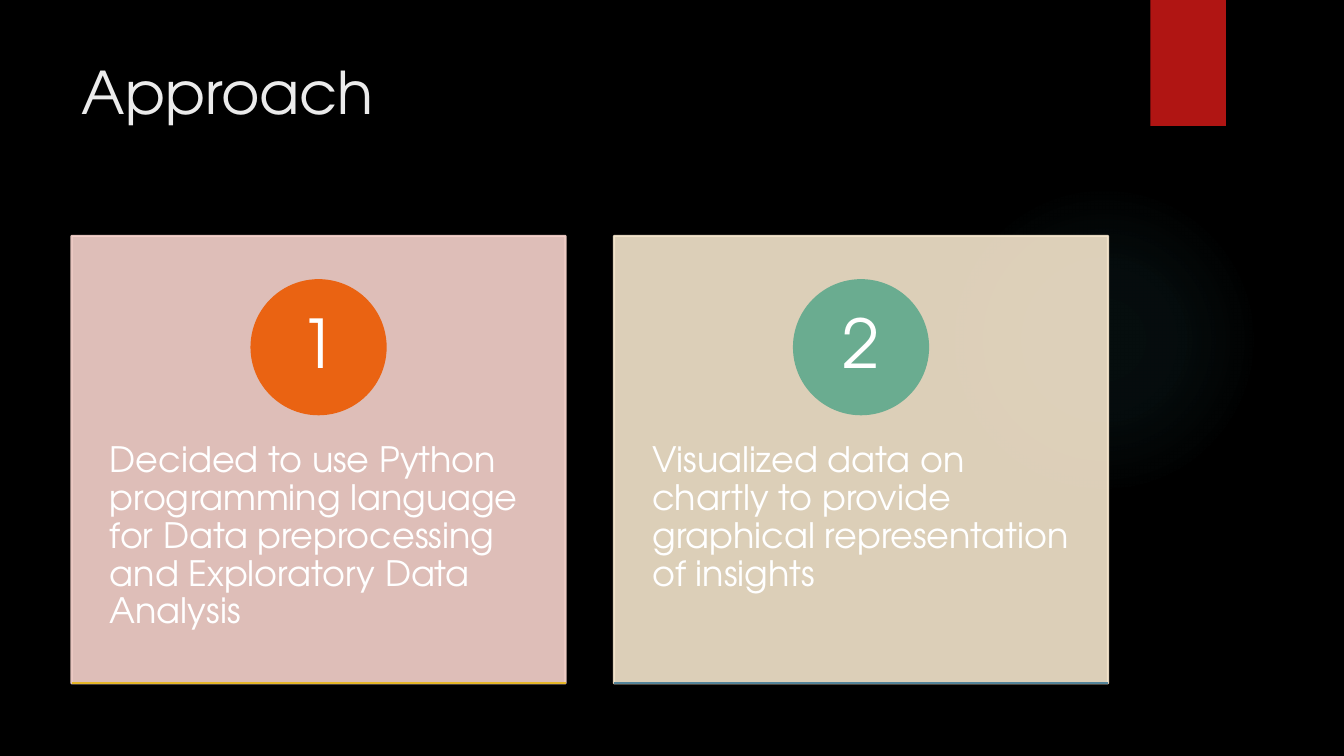
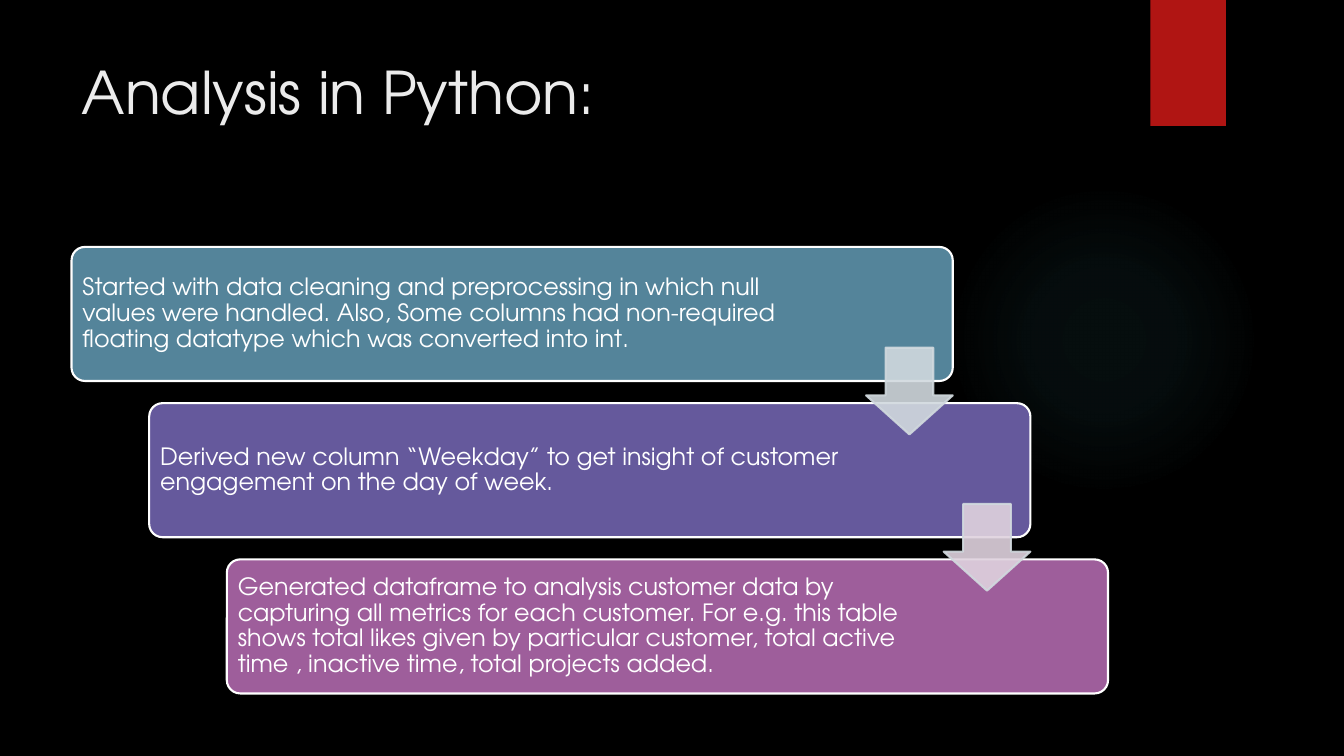
from lxml import etree
from pptx import Presentation
from pptx.dml.color import RGBColor
from pptx.enum.shapes import MSO_CONNECTOR, MSO_SHAPE
from pptx.enum.text import MSO_ANCHOR, PP_ALIGN
from pptx.oxml import parse_xml
from pptx.oxml.ns import nsdecls, qn
from pptx.util import Inches, Pt

RECTANGLE = MSO_SHAPE.RECTANGLE
ROUNDED = MSO_SHAPE.ROUNDED_RECTANGLE
OVAL = MSO_SHAPE.OVAL
DOWN_ARROW = MSO_SHAPE.DOWN_ARROW
STRAIGHT = MSO_CONNECTOR.STRAIGHT
TOP, MIDDLE = MSO_ANCHOR.TOP, MSO_ANCHOR.MIDDLE
LEFT, CENTER = PP_ALIGN.LEFT, PP_ALIGN.CENTER

FONT = "TeX Gyre Adventor"
COLORS = {
    "background": "000000", "title": "EBEBEB", "text": "FFFFFF",
    "band": "B01513", "glow": "50B9C1",
    "rose": "F7D3CC", "cream": "F5E6CD", "orange": "EA6312",
    "green": "6AAC90", "yellow": "E6B729", "blue": "54849A",
    "violet": "65599C", "plum": "9E5E9B",
    "pale_blue": "D1D9DE", "pale_plum": "DFD2DE",
}
GLOW_STOPS = [(0, 7), (36, 6), (69, 0)]  # position and opacity, percent
MARGIN_LEFT = 0.71
LINE_WIDTH = Pt(1.5)
LINE_SPACING = 0.9
PALE_OPACITY = 90

# Text, card colour, circle colour, base line colour
CARDS = [
    ("Decided to use Python programming language for Data preprocessing "
     "and Exploratory Data Analysis", "rose", "orange", "yellow"),
    ("Visualized data on chartly to provide graphical representation "
     "of insights", "cream", "green", "blue"),
]
CARD_TOP, CARD_WIDTH, CARD_HEIGHT, CARD_GAP = 2.34, 4.9, 4.44, 0.48
CARD_INSETS = (0.38, 2.05, 0.38, 0.36)
CIRCLE_TOP, CIRCLE_SIZE = 2.78, 1.33

# Text, fill colour, right inset
STEPS = [
    ("Started with data cleaning and preprocessing in which null values were "
     "handled. Also, Some columns had non-required floating datatype which "
     "was converted into int.", "blue", 1.42),
    ("Derived new column “Weekday” to get insight of customer engagement on "
     "the day of week.", "violet", 1.7),
    ("Generated dataframe to analysis customer data by capturing all metrics "
     "for each customer. For e.g. this table shows total likes given by "
     "particular customer, total active time , inactive time, total projects "
     "added.", "plum", 1.7),
]
STEP_TOP, STEP_WIDTH, STEP_HEIGHT = 2.45, 8.74, 1.33
STEP_SHIFT, STEP_PITCH, STEP_INSET = 0.77, 1.55, 0.07
ARROW_FILLS = ["pale_blue", "pale_plum"]
ARROW_SIZE, ARROW_DROP = 0.86, 1.0


def rgb(name):
    return RGBColor.from_string(COLORS[name])


def add_shape(slide, kind, box, fill, line=None, opacity=100):
    shape = slide.shapes.add_shape(kind, *map(Inches, box))
    shape.shadow.inherit = False
    shape.fill.solid()
    shape.fill.fore_color.rgb = rgb(fill)
    if line:
        shape.line.color.rgb = rgb(line)
        shape.line.width = LINE_WIDTH
    else:
        shape.line.fill.background()
    if opacity < 100:
        for color in shape._element.spPr.iter(qn("a:srgbClr")):
            etree.SubElement(color, qn("a:alpha"), val=str(opacity * 1000))
    return shape


def write(shape, text, size, color="text", insets=(0.1, 0.05, 0.1, 0.05),
          anchor=TOP, align=LEFT, spacing=LINE_SPACING):
    """Fill a shape with one paragraph; insets are left, top, right, bottom."""
    frame = shape.text_frame
    frame.text = text
    frame.word_wrap = True
    frame.vertical_anchor = anchor
    (frame.margin_left, frame.margin_top,
     frame.margin_right, frame.margin_bottom) = map(Inches, insets)
    paragraph = frame.paragraphs[0]
    paragraph.alignment = align
    paragraph.line_spacing = spacing
    font = paragraph.runs[0].font
    font.name = FONT
    font.size = Pt(size)
    font.color.rgb = rgb(color)


def add_glow(slide):
    glow = add_shape(slide, OVAL, (9.41, 1.83, 3.08, 3.08), "glow")
    stops = "".join(
        f'<a:gs pos="{position * 1000}"><a:srgbClr val="{COLORS["glow"]}">'
        f'<a:alpha val="{opacity * 1000}"/></a:srgbClr></a:gs>'
        for position, opacity in GLOW_STOPS)
    gradient = parse_xml(
        f'<a:gradFill {nsdecls("a")} rotWithShape="1"><a:gsLst>{stops}</a:gsLst>'
        '<a:path path="circle"><a:fillToRect l="50000" t="50000" r="50000" '
        'b="50000"/></a:path></a:gradFill>')
    properties = glow._element.spPr
    properties.replace(properties.find(qn("a:solidFill")), gradient)


def add_base_line(slide, left, top, width, color):
    line = slide.shapes.add_connector(
        STRAIGHT, *map(Inches, (left, top, left + width, top)))
    line.line.color.rgb = rgb(color)
    line.line.width = LINE_WIDTH
    etree.SubElement(line._element.spPr, qn("a:effectLst"))


def add_titled_slide(presentation, title):
    slide = presentation.slides.add_slide(presentation.slide_layouts[6])
    slide.background.fill.solid()
    slide.background.fill.fore_color.rgb = rgb("background")
    add_glow(slide)
    add_shape(slide, RECTANGLE, (11.41, 0, 0.75, 1.25), "band")
    box = slide.shapes.add_textbox(
        *map(Inches, (MARGIN_LEFT, 0.5, 10.29, 1.53)))
    write(box, title, 42, "title", spacing=1.0)
    return slide


def add_cards(slide):
    for index, (text, fill, circle_fill, base) in enumerate(CARDS):
        left = MARGIN_LEFT + index * (CARD_WIDTH + CARD_GAP)
        card = add_shape(slide, RECTANGLE,
                         (left, CARD_TOP, CARD_WIDTH, CARD_HEIGHT),
                         fill, fill, PALE_OPACITY)
        write(card, text, 25, insets=CARD_INSETS)
        circle_left = left + (CARD_WIDTH - CIRCLE_SIZE) / 2
        circle = add_shape(slide, OVAL,
                           (circle_left, CIRCLE_TOP, CIRCLE_SIZE, CIRCLE_SIZE),
                           circle_fill, circle_fill)
        write(circle, str(index + 1), 48, insets=(0.1, 0.01, 0.1, 0.01),
              anchor=MIDDLE, align=CENTER)
        add_base_line(slide, left, CARD_TOP + CARD_HEIGHT, CARD_WIDTH, base)


def add_steps(slide):
    corners = [(MARGIN_LEFT + index * STEP_SHIFT, STEP_TOP + index * STEP_PITCH)
               for index in range(len(STEPS))]
    for (left, top), (text, fill, right_inset) in zip(corners, STEPS):
        step = add_shape(slide, ROUNDED, (left, top, STEP_WIDTH, STEP_HEIGHT),
                         fill, "text")
        step.adjustments[0] = 0.1
        write(step, text, 17, anchor=MIDDLE,
              insets=(STEP_INSET, STEP_INSET, right_inset, STEP_INSET))
    for (left, top), fill in zip(corners, ARROW_FILLS):
        arrow = add_shape(slide, DOWN_ARROW,
                          (left + STEP_WIDTH - ARROW_SIZE, top + ARROW_DROP,
                           ARROW_SIZE, ARROW_SIZE),
                          fill, "pale_blue", PALE_OPACITY)
        arrow.adjustments[0] = 0.55
        arrow.adjustments[1] = 0.45


def main():
    presentation = Presentation()
    presentation.slide_width = Inches(13.33)
    presentation.slide_height = Inches(7.5)
    add_cards(add_titled_slide(presentation, "Approach"))
    add_steps(add_titled_slide(presentation, "Analysis in Python:"))
    presentation.save("out.pptx")


if __name__ == "__main__":
    main()
